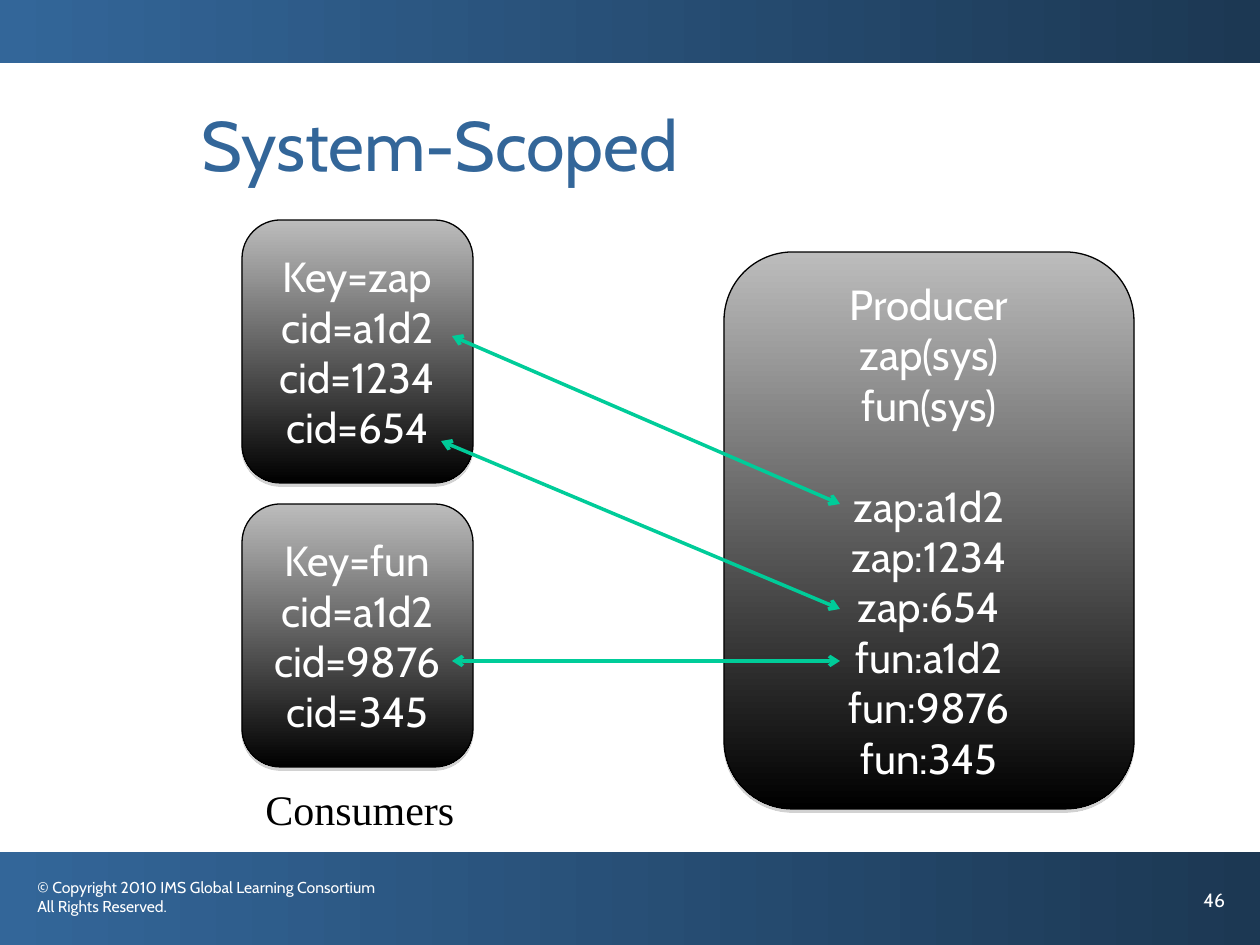
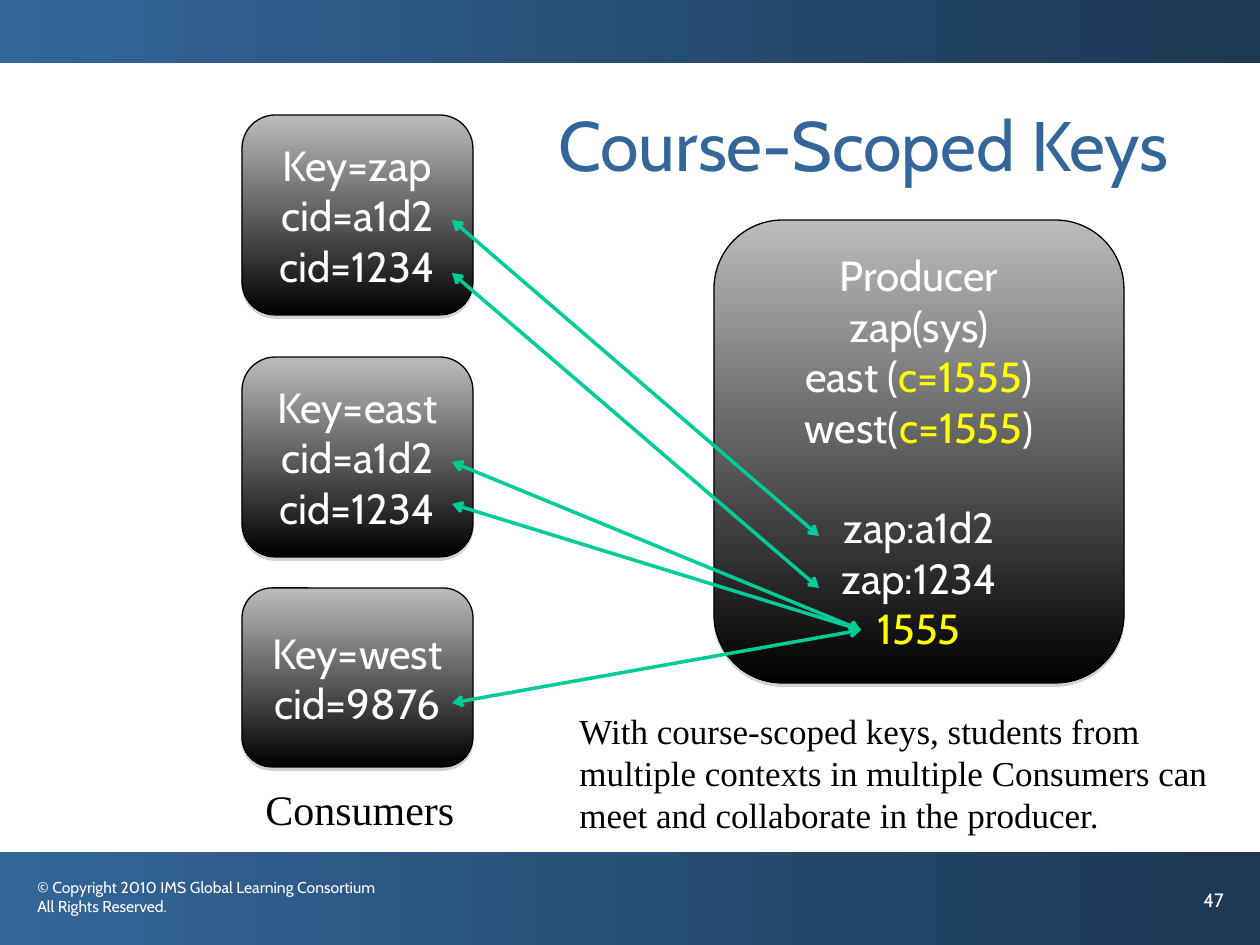
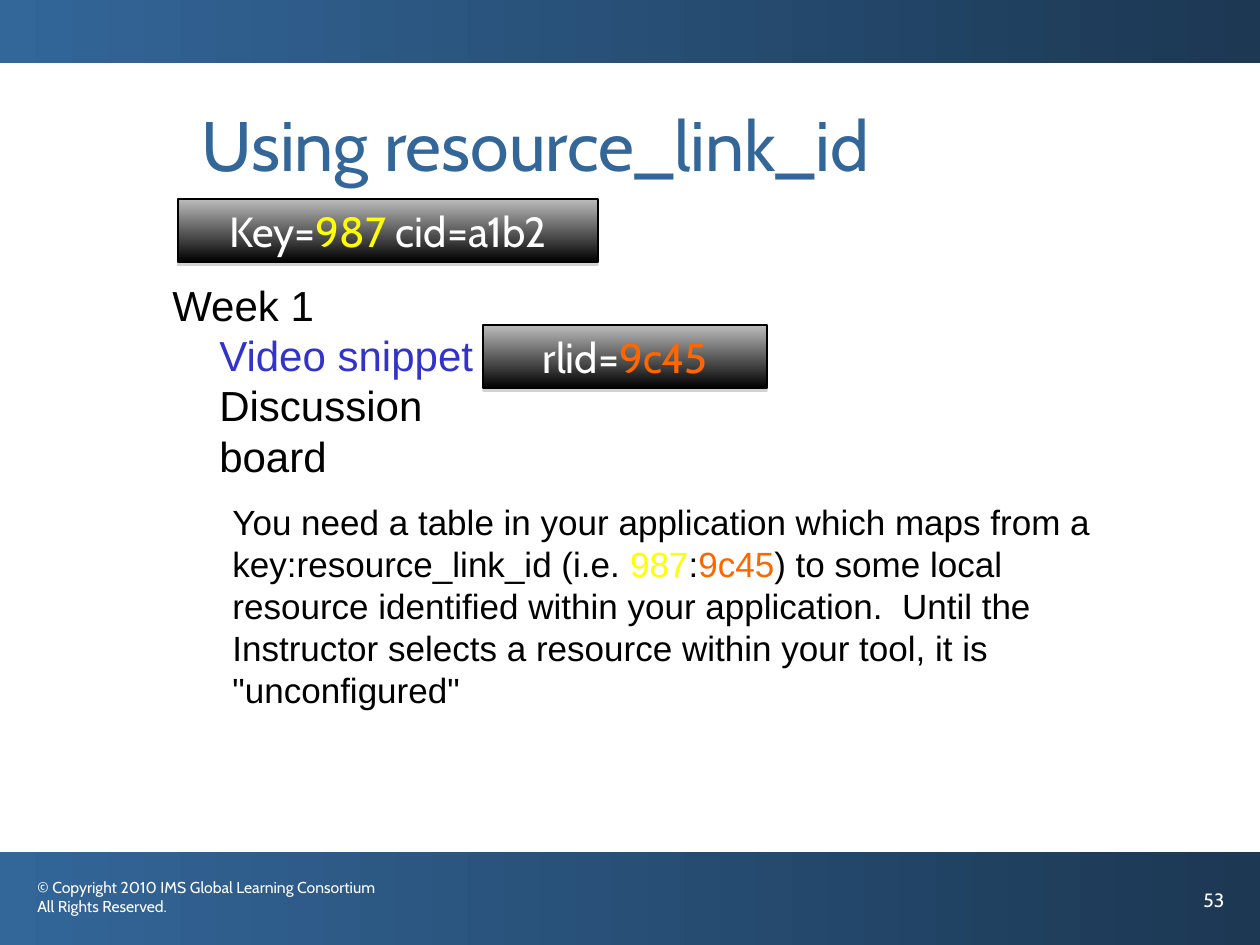
from lxml.etree import SubElement
from pptx import Presentation
from pptx.dml.color import RGBColor
from pptx.enum.shapes import MSO_CONNECTOR, MSO_SHAPE
from pptx.enum.text import MSO_ANCHOR, PP_ALIGN
from pptx.oxml.ns import qn
from pptx.util import Pt

EMU_PER_PX = 914400 / 126
PAGE_WIDTH, PAGE_HEIGHT = 1260, 945

NAVY, BLUE = "1C3853", "336699"
SILVER, GREY, BLACK, WHITE = "BCBCBC", "808080", "000000", "FFFFFF"
GREEN, YELLOW, ORANGE, LINK = "00CC99", "FFFF00", "FF6600", "3333CC"

TITLE = {"name": "Cabin", "size": Pt(40)}
CARD = {"name": "Cabin", "size": Pt(24)}
FOOTER = {"name": "Cabin", "size": Pt(9)}
NUMBER = {"name": "Cabin", "size": Pt(11)}
CAPTION = {"name": "Times New Roman", "size": Pt(24)}
REMARK = {"name": "Times New Roman", "size": Pt(20)}
OUTLINE = {"name": "Arial", "size": Pt(24)}
BODY = {"name": "Arial", "size": Pt(20)}

CONSUMER_LEFT, CONSUMER_WIDTH = 242, 231
PRODUCER_WIDTH = 410
CARD_CORNER = 0.167
GROUP_GAP = Pt(28.8)


def px(length):
    return round(length * EMU_PER_PX)


def color(value):
    return RGBColor.from_string(value)


def write(frame, lines, style, ink, align=PP_ALIGN.LEFT):
    for index, line in enumerate(lines):
        para = frame.paragraphs[0] if index == 0 else frame.add_paragraph()
        para.alignment = align
        for piece in [line] if isinstance(line, str) else line:
            text, tint = (piece, ink) if isinstance(piece, str) else piece
            span = para.add_run()
            span.text = text
            for key, value in style.items():
                setattr(span.font, key, value)
            span.font.color.rgb = color(tint)


def add_text(page, place, lines, style, ink, wrap=True):
    box = page.shapes.add_textbox(*map(px, place))
    box.text_frame.word_wrap = wrap
    write(box.text_frame, lines, style, ink)
    return box


def shade(shape, colors, angle):
    shape.fill.gradient()
    shape.fill.gradient_angle = angle
    for stop, value in zip(shape.fill.gradient_stops, colors):
        stop.color.rgb = color(value)


def add_band(page, top, height):
    band = page.shapes.add_shape(
        MSO_SHAPE.RECTANGLE, *map(px, (0, top, PAGE_WIDTH, height)))
    band.shadow.inherit = False
    band.line.fill.background()
    shade(band, (NAVY, BLUE), 180)


def drop_shadow(shape):
    shape.shadow.inherit = False
    effects = shape._element.spPr.find(qn("a:effectLst"))
    shadow = SubElement(effects, qn("a:outerShdw"), blurRad="0",
                        dist=str(Pt(1.8)), dir="5400000", rotWithShape="0")
    tint = SubElement(shadow, qn("a:srgbClr"), val=GREY)
    SubElement(tint, qn("a:alpha"), val="35000")


def add_card(page, place, lines, preset=MSO_SHAPE.ROUNDED_RECTANGLE):
    card = page.shapes.add_shape(preset, *map(px, place))
    if preset == MSO_SHAPE.ROUNDED_RECTANGLE:
        card.adjustments[0] = CARD_CORNER
    shade(card, (SILVER, BLACK), 270)
    card.line.color.rgb = color(BLACK)
    card.line.width = Pt(0.75)
    drop_shadow(card)
    card.text_frame.vertical_anchor = MSO_ANCHOR.MIDDLE
    write(card.text_frame, lines, CARD, WHITE, PP_ALIGN.CENTER)
    return card


def add_consumer(page, top, height, key, *contexts):
    lines = [f"Key={key}"] + [f"cid={context}" for context in contexts]
    add_card(page, (CONSUMER_LEFT, top, CONSUMER_WIDTH, height), lines)


def add_producer(page, left, top, height, keys, contexts):
    heading = ["Producer", *keys]
    card = add_card(page, (left, top, PRODUCER_WIDTH, height), heading + contexts)
    card.text_frame.paragraphs[len(heading)].space_before = GROUP_GAP


def add_link(page, *ends):
    link = page.shapes.add_connector(MSO_CONNECTOR.STRAIGHT, *map(px, ends))
    link.line.color.rgb = color(GREEN)
    link.line.width = Pt(2)
    for end in ("a:headEnd", "a:tailEnd"):
        SubElement(link.line._get_or_add_ln(), qn(end), type="arrow")
    SubElement(link._element.spPr, qn("a:effectLst"))


def add_page(deck, number, title, left=189, width=1040):
    page = deck.slides.add_slide(deck.slide_layouts[6])
    add_band(page, 852, 93)
    add_band(page, 0, 63)
    add_text(page, (25, 872, 394, 63),
             ["© Copyright 2010 IMS Global Learning Consortium",
              "All Rights Reserved."], FOOTER, WHITE)
    add_text(page, (1191, 882, 69, 63), [str(number)], NUMBER, WHITE)
    add_text(page, (left, 95, width, 147), [title], TITLE, BLUE)
    return page


def add_consumers_caption(page):
    add_text(page, (253, 777, 214, 63), ["Consumers"], CAPTION, BLACK, wrap=False)


def build_system_scoped(deck):
    page = add_page(deck, 46, "System-Scoped")
    add_consumer(page, 220, 263, "zap", "a1d2", "1234", "654")
    add_consumer(page, 504, 263, "fun", "a1d2", "9876", "345")
    add_producer(page, 724, 252, 557, ["zap(sys)", "fun(sys)"],
                 ["zap:a1d2", "zap:1234", "zap:654",
                  "fun:a1d2", "fun:9876", "fun:345"])
    for ends in ((441, 441, 840, 609), (452, 336, 840, 504), (452, 661, 840, 661)):
        add_link(page, *ends)
    add_consumers_caption(page)


def build_course_scoped(deck):
    page = add_page(deck, 47, "Course-Scoped Keys", 546, 693)
    add_consumer(page, 115, 200, "zap", "a1d2", "1234")
    add_consumer(page, 357, 200, "east", "a1d2", "1234")
    add_consumer(page, 588, 179, "west", "9876")
    course = ("c=1555", YELLOW)
    add_producer(page, 714, 220, 463,
                 ["zap(sys)", ["east (", course, ")"], ["west(", course, ")"]],
                 ["zap:a1d2", "zap:1234", [("1555", YELLOW)]])
    for start, end_left, end_top in ((220, 819, 536), (273, 819, 588),
                                     (462, 861, 630), (504, 861, 630),
                                     (703, 861, 630)):
        add_link(page, 452, start, end_left, end_top)
    add_consumers_caption(page)
    add_text(page, (567, 703, 662, 139),
             ["With course-scoped keys, students from multiple contexts in "
              "multiple Consumers can meet and collaborate in the producer."],
             REMARK, BLACK)


def build_resource_link(deck):
    page = add_page(deck, 53, "Using resource_link_id")
    key, link = ("987", YELLOW), ("9c45", ORANGE)
    outline = add_text(page, (160, 273, 393, 164),
                       ["Week 1", [("Video snippet", LINK)], "Discussion board"],
                       OUTLINE, BLACK, wrap=False)
    for para in outline.text_frame.paragraphs[1:]:
        para._p.get_or_add_pPr().set("marL", str(px(47)))
    add_card(page, (178, 199, 420, 63), [["Key=", key, " cid=a1b2"]],
             MSO_SHAPE.RECTANGLE)
    add_card(page, (483, 325, 284, 63), [["rlid=", link]], MSO_SHAPE.RECTANGLE)
    add_text(page, (220, 494, 914, 223),
             [["You need a table in your application which maps from a "
               "key:resource_link_id (i.e. ", key, ":", link,
               ") to some local resource identified within your application.  "
               "Until the Instructor selects a resource within your tool, it is "
               "\"unconfigured\""]], BODY, BLACK)


def main():
    deck = Presentation()
    deck.slide_width, deck.slide_height = px(PAGE_WIDTH), px(PAGE_HEIGHT)
    build_system_scoped(deck)
    build_course_scoped(deck)
    build_resource_link(deck)
    deck.save("out.pptx")


if __name__ == "__main__":
    main()
